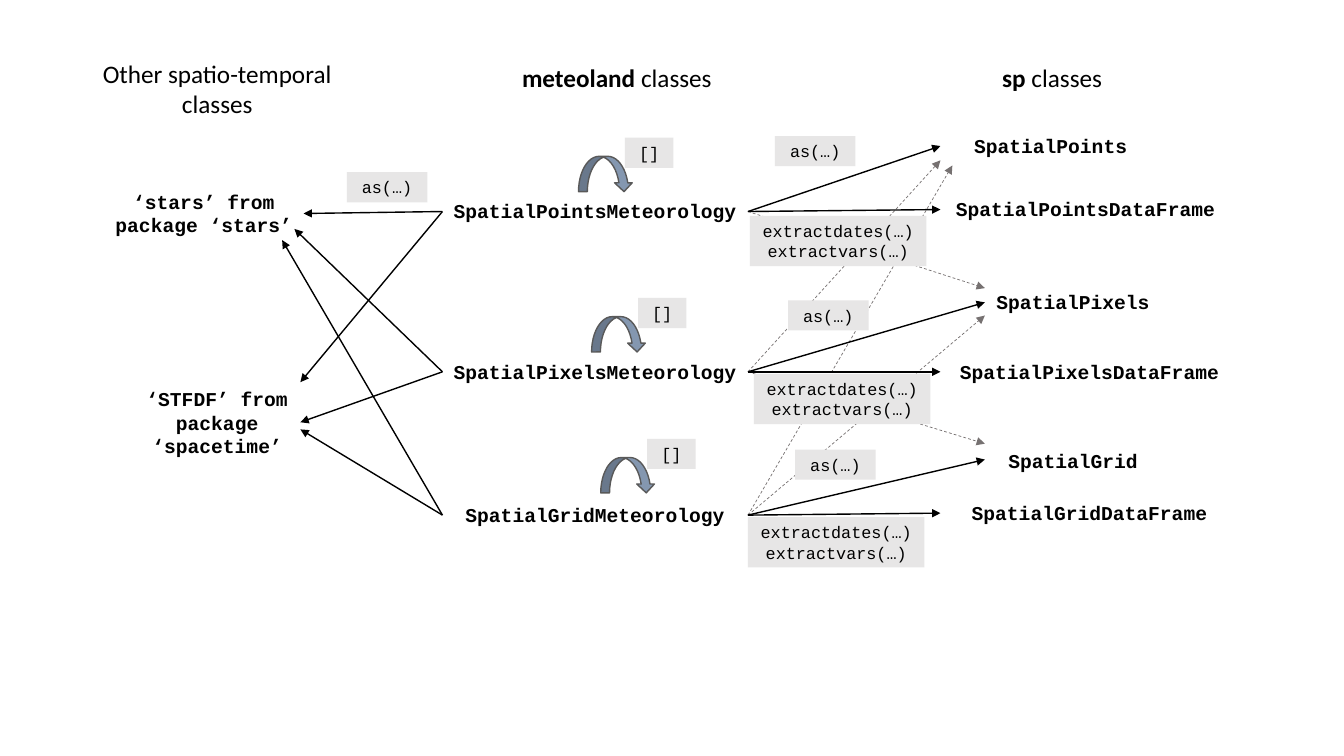
from dataclasses import dataclass

from lxml.etree import SubElement
from pptx import Presentation
from pptx.dml.color import RGBColor
from pptx.enum.dml import MSO_LINE
from pptx.enum.shapes import MSO_CONNECTOR, MSO_SHAPE
from pptx.enum.text import MSO_ANCHOR, PP_ALIGN
from pptx.oxml.ns import qn
from pptx.util import Cm, Pt


@dataclass
class Theme:
    """Colours, fonts and type sizes of the slide."""
    ink = RGBColor.from_string("000000")
    dash = RGBColor.from_string("767171")
    tag = RGBColor.from_string("E7E6E6")
    loop = RGBColor.from_string("8497B0")
    edge = RGBColor.from_string("595959")
    sans = "Calibri"
    mono = "Courier New"
    head = Pt(18)
    name = Pt(14)
    call = Pt(12)


theme = Theme()
deck = Presentation()
deck.slide_width, deck.slide_height = Cm(33.87), Cm(19.05)
shapes = deck.slides.add_slide(deck.slide_layouts[6]).shapes


def link(start, end, dashed=False):
    """Draw an arrow from start to end, solid black or dashed grey."""
    line = shapes.add_connector(MSO_CONNECTOR.STRAIGHT,
                                *map(Cm, start), *map(Cm, end))
    line.line.color.rgb = theme.dash if dashed else theme.ink
    line.line.width = Pt(0.5 if dashed else 1)
    if dashed:
        line.line.dash_style = MSO_LINE.DASH
    SubElement(line.line._get_or_add_ln(), qn("a:tailEnd"), type="triangle")
    SubElement(line._element.spPr, qn("a:effectLst"))


def write(place, text, font, size, bold=False, fill=None):
    """Add centred text, on a filled tag when a fill is given."""
    place = map(Cm, place)
    if fill is None:
        box = shapes.add_textbox(*place)
    else:
        box = shapes.add_shape(MSO_SHAPE.RECTANGLE, *place)
        box.shadow.inherit = False
        box.fill.solid()
        box.fill.fore_color.rgb = fill
        box.line.fill.background()
        box.text_frame.vertical_anchor = MSO_ANCHOR.MIDDLE
    box.text_frame.word_wrap = True
    box.text_frame.text = text
    for para in box.text_frame.paragraphs:
        para.alignment = PP_ALIGN.CENTER
        for run in para.runs:
            run.font.name, run.font.size = font, size
            run.font.bold, run.font.color.rgb = bold, theme.ink
    return box


# Each row: class, height, targets on the left, solid and dashed on the right
left, right = 11.15, 18.85
near, far = 23.7, 24.82
rows = [
    ("Points", 5.33, [(7.65, 5.38), (7.57, 9.63)],
     [(near, 3.68), (near, 5.28)], [(far, 7.26)]),
    ("Pixels", 9.37, [(7.57, 10.64), (7.42, 5.77)],
     [(far, 7.62), (near, 9.37)], [(far, 11.18), (near, 4.04)]),
    ("Grid", 12.98, [(7.11, 6.05), (7.57, 10.82)],
     [(far, 11.58), (near, 12.93)], [(24, 4.17), (far, 7.95)]),
]
for kind, y, west, east, faint in rows:
    for end in faint:
        link((right, y), end, dashed=True)
for kind, y, west, east, faint in rows:
    for end in west:
        link((left, y), end)
    for end in east:
        link((right, y), end)

# Column headings
write((2.26, 1.35, 6.43, 1.8), "Other spatio-temporal classes",
      theme.sans, theme.head)
for x, wide, pack in [(12.88, 5.33, "meteoland"), (24.99, 3.05, "sp")]:
    box = write((x, 1.45, wide, 1.02), pack + " ",
                theme.sans, theme.head, bold=True)
    run = box.text_frame.paragraphs[0].add_run()
    run.text = "classes"
    run.font.name, run.font.size = theme.sans, theme.head
    run.font.color.rgb = theme.ink

# Class names
tall = 0.86
names = [
    ((2.64, 4.65, 5, 1.45), "‘stars’ from package ‘stars’"),
    ((3.38, 9.63, 4.19, 2.06), "‘STFDF’ from package ‘spacetime’"),
    ((near, 3.25, 5.56, tall), "SpatialPoints"),
    ((near, 4.85, 7.32, tall), "SpatialPointsDataFrame"),
    ((far, 7.19, 4.45, tall), "SpatialPixels"),
    ((near, 8.94, 7.52, tall), "SpatialPixelsDataFrame"),
    ((far, 11.18, 4.45, tall), "SpatialGrid"),
    ((near, 12.5, 7.52, tall), "SpatialGridDataFrame"),
]
names += [((left, y - tall / 2, right - left, tall),
           f"Spatial{kind}Meteorology") for kind, y, *ends in rows]
for place, text in names:
    write(place, text, theme.mono, theme.name, bold=True)

# Loop arrows
loops = [(14.58, 3.94), (14.91, 7.98), (15.14, 11.53)]
for x, y in loops:
    arc = shapes.add_shape(MSO_SHAPE.CURVED_DOWN_ARROW,
                           Cm(x), Cm(y), Cm(1.37), Cm(0.89))
    arc.shadow.inherit = False
    arc.fill.solid()
    arc.fill.fore_color.rgb = theme.loop
    arc.line.color.rgb, arc.line.width = theme.edge, Pt(1)

# Method tags
tags = [
    ("[]", 1.22, 0.76, [(x + 1.17, y - 0.47) for x, y in loops]),
    ("as(…)", 2.03, 0.76,
     [(8.74, 4.34), (19.53, 3.43), (19.86, 7.57), (20.04, 11.33)]),
    ("extractdates(…)\nextractvars(…)", 4.45, 1.27,
     [(18.9, 5.44), (19, 9.42), (18.85, 13.03)]),
]
for text, wide, high, spots in tags:
    for x, y in spots:
        write((x, y, wide, high), text, theme.mono, theme.call,
              fill=theme.tag)

deck.save("out.pptx")
